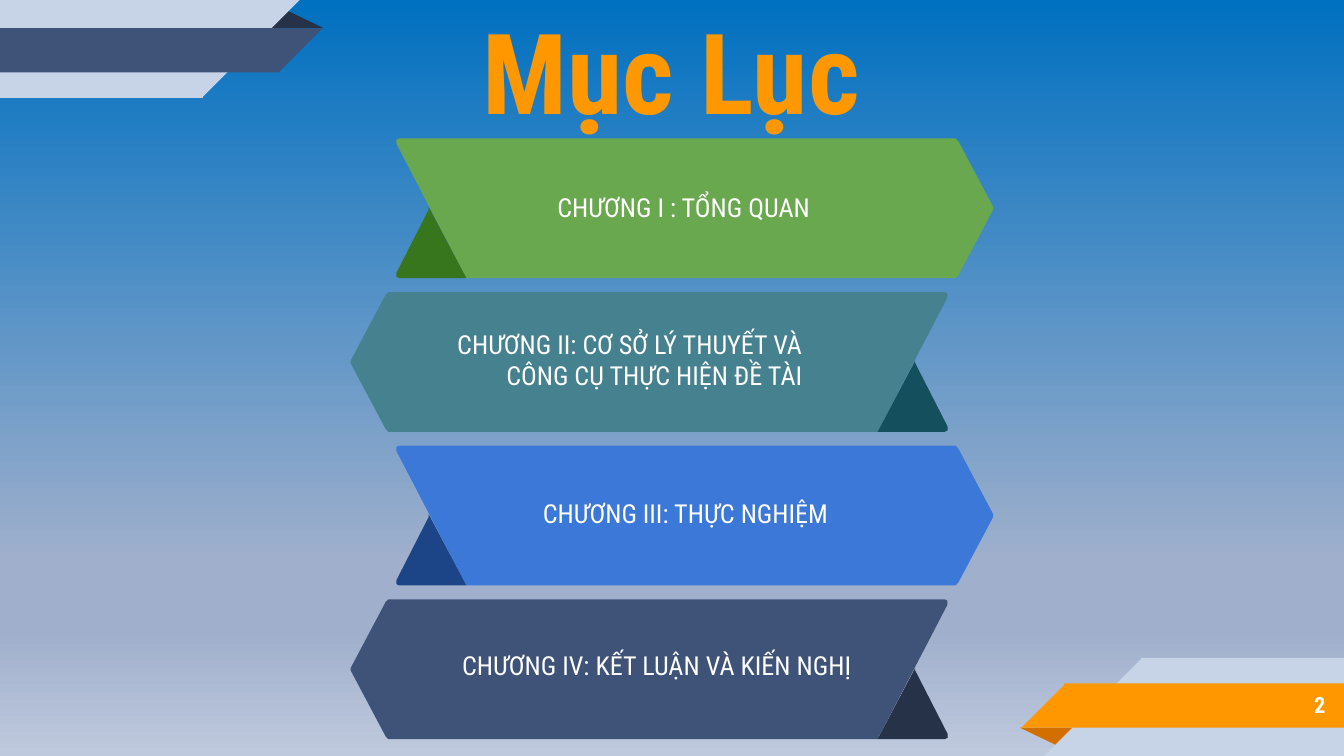
from lxml.etree import SubElement
from pptx import Presentation
from pptx.dml.color import RGBColor
from pptx.enum.shapes import MSO_SHAPE
from pptx.enum.text import MSO_ANCHOR, PP_ALIGN
from pptx.oxml.ns import qn
from pptx.util import Inches, Pt

SLIDE_WIDTH = 10
SLIDE_HEIGHT = SLIDE_WIDTH * 9 / 16
FONT = "Roboto Condensed"

WHITE = RGBColor(0xFF, 0xFF, 0xFF)
ORANGE = RGBColor(0xFF, 0x98, 0x00)
DARK_ORANGE = RGBColor(0xD2, 0x6F, 0x00)
NAVY = RGBColor(0x3F, 0x53, 0x78)
DARK_NAVY = RGBColor(0x26, 0x32, 0x48)
PALE = RGBColor(0xC7, 0xD3, 0xE6)
GREEN = RGBColor(0x6A, 0xA8, 0x4F)
DARK_GREEN = RGBColor(0x38, 0x76, 0x1D)
TEAL = RGBColor(0x45, 0x81, 0x8E)
DARK_TEAL = RGBColor(0x13, 0x4F, 0x5C)
BLUE = RGBColor(0x3C, 0x78, 0xD8)
DARK_BLUE = RGBColor(0x1C, 0x45, 0x87)
SKY = RGBColor(0x00, 0x70, 0xC0)
HAZE = RGBColor(0x9F, 0xAF, 0xCC)
MIST = RGBColor(0xBF, 0xC9, 0xDD)
BACKGROUND_STOPS = [(0, SKY), (74, HAZE), (83, HAZE), (100, MIST)]

BANNER_WIDTH = 4.45
BANNER_OUTLINE = [(0.03, 0), (4.17, 0), (4.19, 0.02), (4.45, 0.51), (4.45, 0.53),
                  (4.19, 1.02), (4.17, 1.04), (0.53, 1.04), (0.01, 0.04), (0.01, 0.01)]
FOLD_OUTLINE = [(0.25, 0.53), (0.01, 1), (0.01, 1.03), (0.03, 1.04), (0.53, 1.04), (0.25, 0.51)]
FIRST_TOP, LAST_TOP = 1.03, 4.46
RIGHT_FACING_LEFT, LEFT_FACING_LEFT = 2.94, 2.61
SEAM_OVERLAP = 0.01

# Text, alignment, label box within its banner, banner colour, fold colour
CHAPTERS = [
    (" CHƯƠNG I : TỔNG QUAN", PP_ALIGN.CENTER, (0.63, 0.2, 2.99, 0.62), GREEN, DARK_GREEN),
    (" CHƯƠNG II: CƠ SỞ LÝ THUYẾT VÀ CÔNG CỤ THỰC HIỆN ĐỀ TÀI", PP_ALIGN.RIGHT,
     (0.47, 0.19, 2.99, 0.62), TEAL, DARK_TEAL),
    ("CHƯƠNG III: THỰC NGHIỆM", PP_ALIGN.LEFT, (1, 0.19, 2.99, 0.62), BLUE, DARK_BLUE),
    ("CHƯƠNG IV: KẾT LUẬN VÀ KIẾN NGHỊ", PP_ALIGN.LEFT,
     (0.73, 0.18, 3.19, 0.62), NAVY, DARK_NAVY),
]


def paint(shape, color):
    shape.shadow.inherit = False
    shape.fill.solid()
    shape.fill.fore_color.rgb = color
    shape.line.fill.background()


def add_text(page, box, text, size, color, align, bold=False):
    frame = page.shapes.add_textbox(*map(Inches, box)).text_frame
    frame.word_wrap = True
    frame.vertical_anchor = MSO_ANCHOR.MIDDLE
    para = frame.paragraphs[0]
    para.alignment = align
    span = para.add_run()
    span.text = text
    for name, value in {"name": FONT, "size": Pt(size), "bold": bold}.items():
        setattr(span.font, name, value)
    span.font.color.rgb = color


def add_background(page):
    fill = page.background.fill
    fill.gradient()
    fill.gradient_angle = 270
    stops = page.element.find(".//" + qn("a:gsLst"))
    stops.clear()
    for percent, color in BACKGROUND_STOPS:
        stop = SubElement(stops, qn("a:gs"), pos=str(percent * 1000))
        SubElement(stop, qn("a:srgbClr"), val=str(color))


def add_corner(page, ribbon_color, fold_color, turned):
    """Ribbons of the top left corner, or turned half round into the bottom right one."""

    def add_part(kind, box, color):
        left, top, width, height = box
        if turned:
            left, top = SLIDE_WIDTH - left - width, SLIDE_HEIGHT - top - height
        part = page.shapes.add_shape(kind, *map(Inches, (left, top, width, height)))
        paint(part, color)
        return part

    fold = add_part(MSO_SHAPE.ISOSCELES_TRIANGLE, (1.98, 0.07, 0.43, 0.14), fold_color)
    fold.adjustments[0] = 0.324
    fold.rotation = 180 if turned else 0
    for top, width, height, color in [(0, 1.5, 0.73, PALE), (0.21, 2.07, 0.33, ribbon_color)]:
        add_part(MSO_SHAPE.RECTANGLE, (0, top, width + SEAM_OVERLAP, height), color)
        tip = add_part(MSO_SHAPE.RIGHT_TRIANGLE, (width, top, height, height), color)
        tip.rotation = 0 if turned else 180
        tip.element.spPr.find(qn("a:xfrm")).set("flipH", "1")


def add_banner(page, left, top, mirrored, chapter):
    text, align, label, color, fold_color = chapter
    for outline, part_color in [(BANNER_OUTLINE, color), (FOLD_OUTLINE, fold_color)]:
        points = [(Inches(left + (BANNER_WIDTH - x if mirrored else x)), Inches(top + y))
                  for x, y in outline]
        builder = page.shapes.build_freeform(*points[0])
        builder.add_line_segments(points[1:], close=True)
        paint(builder.convert_to_shape(), part_color)
    x, y, width, height = label
    add_text(page, (left + x, top + y, width, height), text, 14, WHITE, align)


def add_contents(page):
    pitch = (LAST_TOP - FIRST_TOP) / (len(CHAPTERS) - 1)
    for index, chapter in enumerate(CHAPTERS):
        mirrored = index % 2 == 1
        left = LEFT_FACING_LEFT if mirrored else RIGHT_FACING_LEFT
        add_banner(page, left, FIRST_TOP + index * pitch, mirrored, chapter)


def main():
    deck = Presentation()
    deck.slide_width, deck.slide_height = Inches(SLIDE_WIDTH), Inches(SLIDE_HEIGHT)
    page = deck.slides.add_slide(deck.slide_layouts[6])
    add_background(page)
    add_corner(page, NAVY, DARK_NAVY, turned=False)
    add_corner(page, ORANGE, DARK_ORANGE, turned=True)
    add_text(page, (1.39, 0, 7.21, 1.04), "Mục Lục", 60, ORANGE, PP_ALIGN.CENTER, bold=True)
    add_text(page, (8.33, 5.07, 1.63, 0.35), "2", 12, WHITE, PP_ALIGN.RIGHT, bold=True)
    add_contents(page)
    deck.save("out.pptx")


if __name__ == "__main__":
    main()
